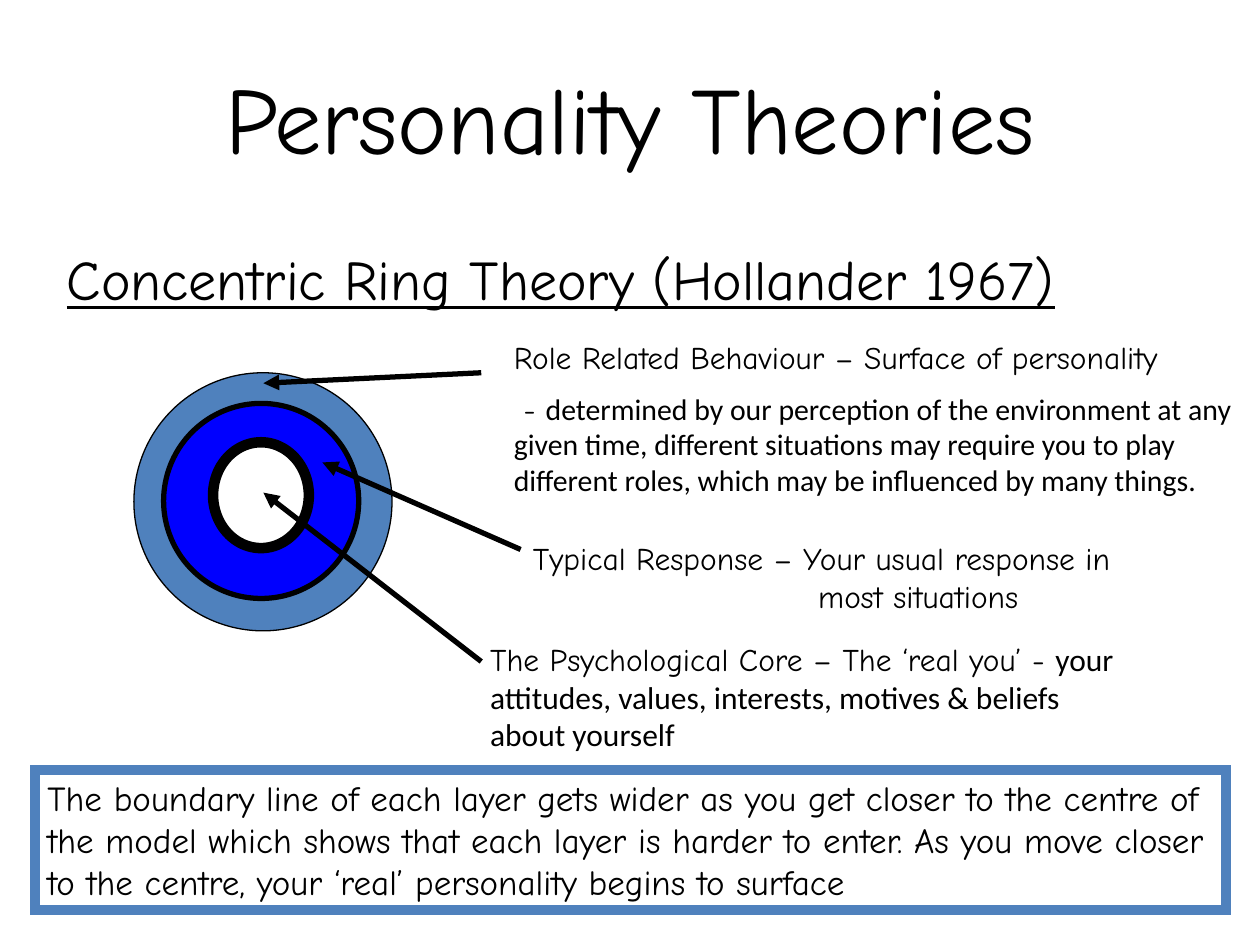
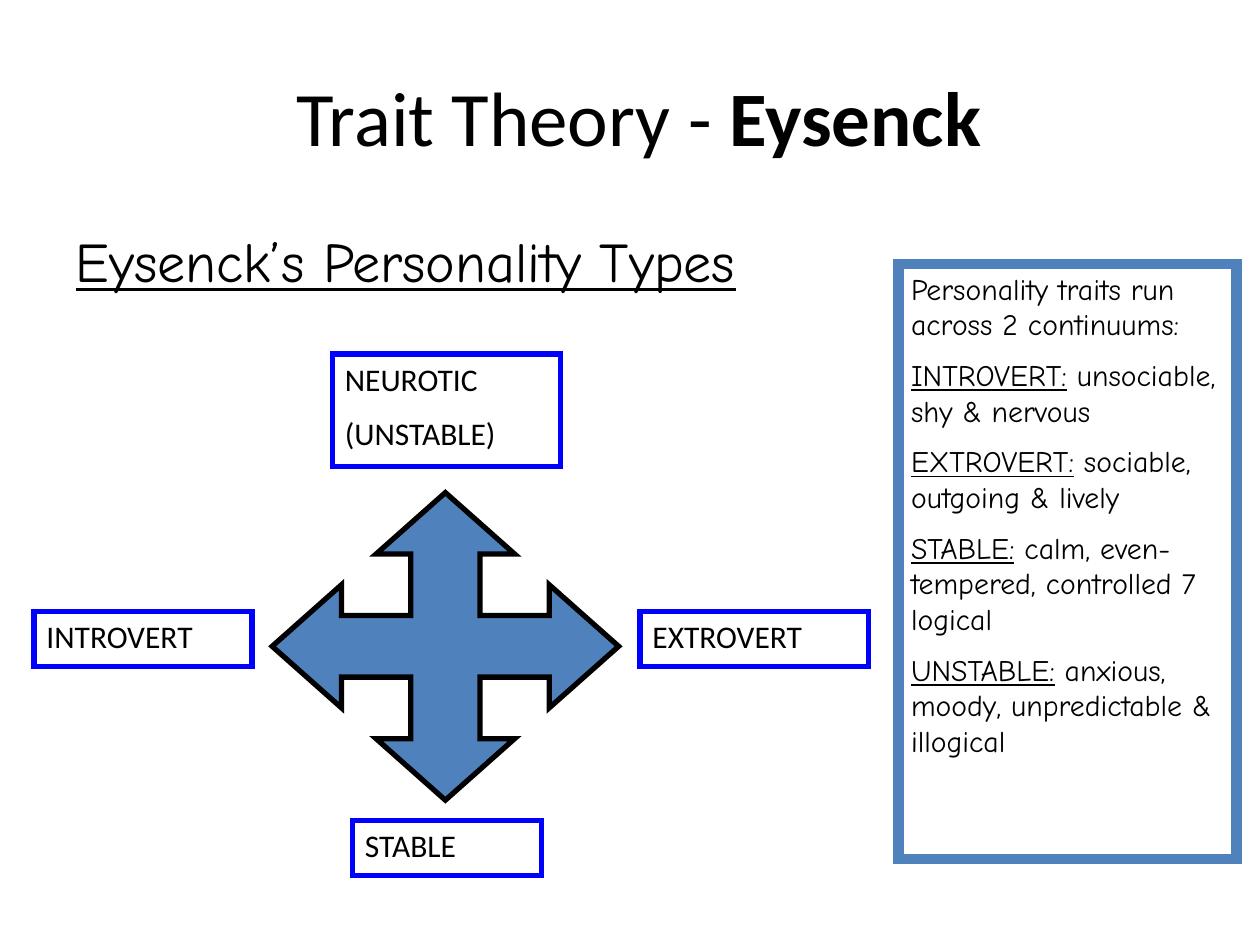
from lxml import etree
from pptx import Presentation
from pptx.dml.color import RGBColor
from pptx.enum import shapes, text
from pptx.oxml import ns
from pptx.util import Pt

BLACK = RGBColor(0, 0, 0)
WHITE = RGBColor(255, 255, 255)
STEEL = RGBColor(0x4F, 0x81, 0xBD)
BLUE = RGBColor(0, 0, 255)
COMIC, CALIBRI = "Comic Neue", "Calibri"

TITLE_SIZE = (648, 90)

RINGS = [
    ((76.5, 213, 147.5, 147.5), STEEL, 0.75),
    ((93.5, 230.5, 111.5, 111.5), BLUE, 3),
    ((121.75, 252.75, 54.75, 60.5), WHITE, 6),
]
POINTERS = [
    ((275, 213), (150.5, 219)),
    ((297.5, 314), (184.25, 264.25)),
    ((275, 378), (150.5, 281.5)),
]
BOUNDARY = ("The boundary line of each layer gets wider as you get closer to the centre of the model "
            "which shows that each layer is harder to enter. As you move closer to the centre, "
            "your ‘real’ personality begins to surface")
ROLE = [
    [("Role Related Behaviour – Surface of personality", {"size": 18})],
    [(" - ", {}),
     ("determined by our perception of the environment at any given time, different situations may "
      "require you to play different roles, which may be influenced by many things.",
      {"font": CALIBRI})],
]
TYPICAL = ["Typical Response – Your usual response in", "most situations"]
CORE = [[("The Psychological Core – The ‘real you’ - ", {}),
         ("your attitudes, values, interests, motives & beliefs about yourself", {"font": CALIBRI})]]

TYPES = [
    ((19.5, 349.25, 124.5, 31.75), ["INTROVERT"]),
    ((190, 202.25, 130.5, 64.25), ["NEUROTIC", "(UNSTABLE)"]),
    ((365.75, 349.25, 130.5, 31.75), ["EXTROVERT"]),
    ((201.5, 468.75, 108, 31.75), ["STABLE"]),
]
TRAITS = [
    ("INTROVERT:", " unsociable, shy & nervous"),
    ("EXTROVERT:", " sociable, outgoing & lively"),
    ("STABLE:", " calm, even-tempered, controlled 7 logical"),
    ("UNSTABLE:", " anxious, moody, unpredictable & illogical"),
]
CROSS_AT = (155.5, 281.5, 198, 175.75)
CROSS_ARM = [(0.5, 0), (0.3, 0.2), (0.4, 0.2), (0.4, 0.4), (0.2, 0.4), (0.2, 0.3)]


def place(sp, left, top, width, height):
    sp.left, sp.top, sp.width, sp.height = Pt(left), Pt(top), Pt(width), Pt(height)


def write(sp, paragraphs, size=18, font=COMIC, underline=None, align=text.PP_ALIGN.LEFT,
          anchor=text.MSO_ANCHOR.TOP, gap=0):
    tf = sp.text_frame
    tf.word_wrap = True
    tf.auto_size = text.MSO_AUTO_SIZE.NONE
    tf.vertical_anchor = anchor
    for i, runs in enumerate(paragraphs):
        p = tf.add_paragraph() if i else tf.paragraphs[0]
        p.alignment = align
        p.space_before = Pt(gap if i else 0)
        for words, own in [(runs, {})] if isinstance(runs, str) else runs:
            r = p.add_run()
            r.text = words
            r.font.name = own.get("font", font)
            r.font.size = Pt(own.get("size", size))
            r.font.bold = own.get("bold")
            r.font.underline = own.get("underline", underline)
            r.font.color.rgb = BLACK
    return tf


def style(sp, fill, line, width):
    sp.shadow.inherit = False
    if fill is None:
        sp.fill.background()
    else:
        sp.fill.solid()
        sp.fill.fore_color.rgb = fill
    sp.line.color.rgb = line
    sp.line.width = Pt(width)
    etree.SubElement(sp.line._get_or_add_ln(), ns.qn("a:miter"), lim="800000")


def add_preset(slide, kind, at, fill, line, width):
    sp = slide.shapes.add_shape(kind, *map(Pt, at))
    style(sp, fill, line, width)
    return sp


def add_box(slide, at, line, width, paragraphs, **fmt):
    sp = add_preset(slide, shapes.MSO_SHAPE.RECTANGLE, at, None, line, width)
    write(sp, paragraphs, **fmt)


def add_label(slide, at, paragraphs, **fmt):
    return write(slide.shapes.add_textbox(*map(Pt, at)), paragraphs, **fmt)


def add_pointer(slide, start, end):
    line = slide.shapes.add_connector(shapes.MSO_CONNECTOR.STRAIGHT, *map(Pt, start + end))
    line.line.color.rgb = BLACK
    line.line.width = Pt(3)
    etree.SubElement(line.line._get_or_add_ln(), ns.qn("a:tailEnd"), type="triangle")
    etree.SubElement(line._element.spPr, ns.qn("a:effectLst"))


def add_cross(slide):
    left, top, width, height = CROSS_AT
    points, arm = [], CROSS_ARM
    for _ in range(4):
        points += arm
        arm = [(y, 1 - x) for x, y in arm]
    corners = [(Pt(left + x * width), Pt(top + y * height)) for x, y in points]
    builder = slide.shapes.build_freeform(*corners[0])
    builder.add_line_segments(corners[1:], close=True)
    style(builder.convert_to_shape(), STEEL, BLACK, 3)


def add_slide(prs, title, title_at, title_size, title_font, heading, heading_at):
    slide = prs.slides.add_slide(prs.slide_layouts[1])
    place(slide.shapes.title, *title_at, *TITLE_SIZE)
    write(slide.shapes.title, [title], size=title_size, font=title_font,
          align=text.PP_ALIGN.CENTER, anchor=text.MSO_ANCHOR.MIDDLE)
    body = slide.placeholders[1]
    place(body, *heading_at)
    tf = write(body, [heading], size=32, underline=True)
    pPr = tf.paragraphs[0]._p.get_or_add_pPr()
    pPr.set("marL", str(Pt(27)))
    pPr.set("indent", str(-Pt(27)))
    etree.SubElement(pPr, ns.qn("a:buNone"))
    return slide


def build_rings(prs):
    slide = add_slide(prs, "Personality Theories", (36, 21.5), 54, COMIC,
                      "Concentric Ring Theory (Hollander 1967)", (31, 136, 669, 324))
    for at, fill, width in RINGS:
        add_preset(slide, shapes.MSO_SHAPE.OVAL, at, fill, BLACK, width)
    add_box(slide, (20, 440, 680.5, 80), STEEL, 6, [BOUNDARY], size=20)
    for start, end in POINTERS:
        add_pointer(slide, start, end)
    add_label(slide, (286.5, 189.5, 433.5, 101.5), ROLE, size=17, gap=8.5)
    tf = add_label(slide, (297.5, 304.5, 374.5, 50.5), TYPICAL)
    tf.paragraphs[1]._p.get_or_add_pPr().set("marL", str(Pt(163)))
    add_label(slide, (273, 362, 385, 73), CORE)


def build_types(prs):
    title = [("Trait Theory - ", {}), ("Eysenck ", {"bold": True})]
    slide = add_slide(prs, title, (46, 21), 44, CALIBRI,
                      "Eysenck’s Personality Types", (36, 126, 648, 356.5))
    add_cross(slide)
    for at, words in TYPES:
        add_box(slide, at, BLUE, 3, words, font=CALIBRI, gap=9)
    traits = [[(name, {"underline": True}), (meaning, {})] for name, meaning in TRAITS]
    add_box(slide, (513.5, 151, 193, 340), STEEL, 6,
            ["Personality traits run across 2 continuums:"] + traits, size=17, gap=8.5)


def main():
    prs = Presentation()
    prs.slide_width, prs.slide_height = Pt(720), Pt(540)
    build_rings(prs)
    build_types(prs)
    prs.save("out.pptx")


if __name__ == "__main__":
    main()
